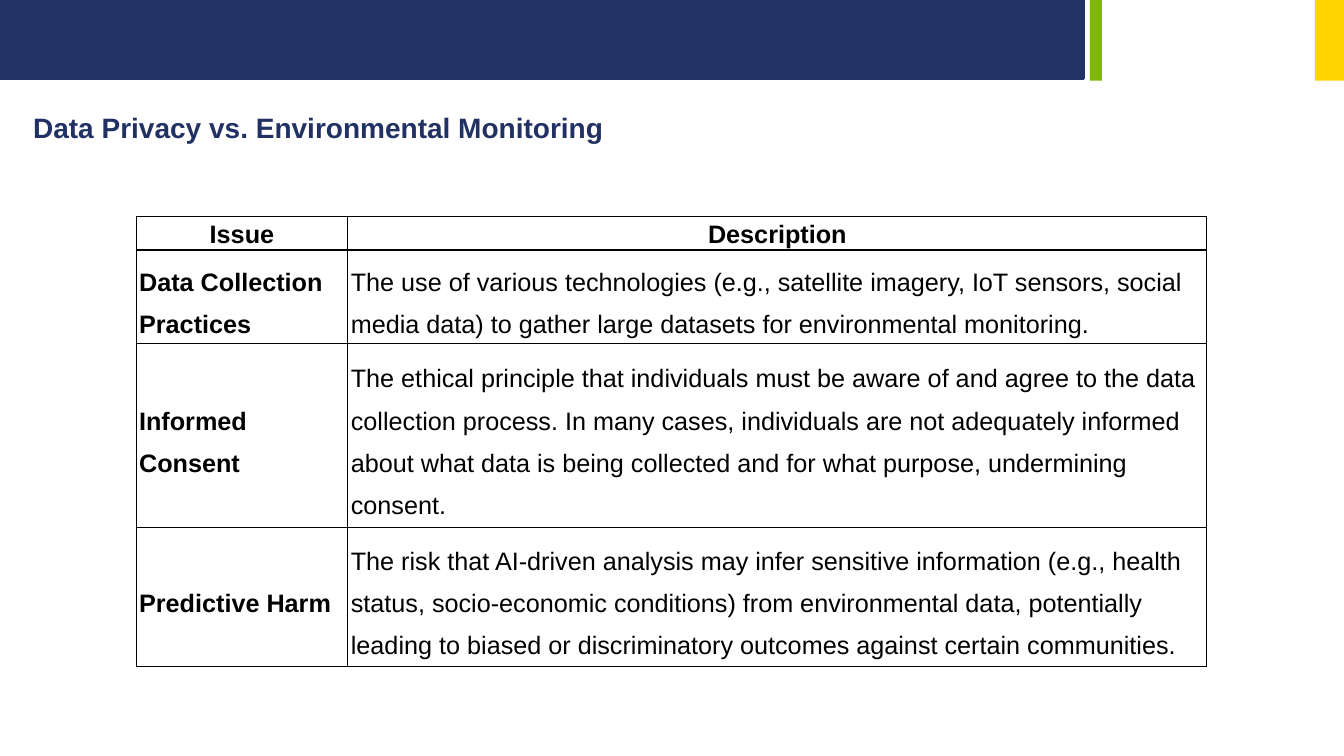
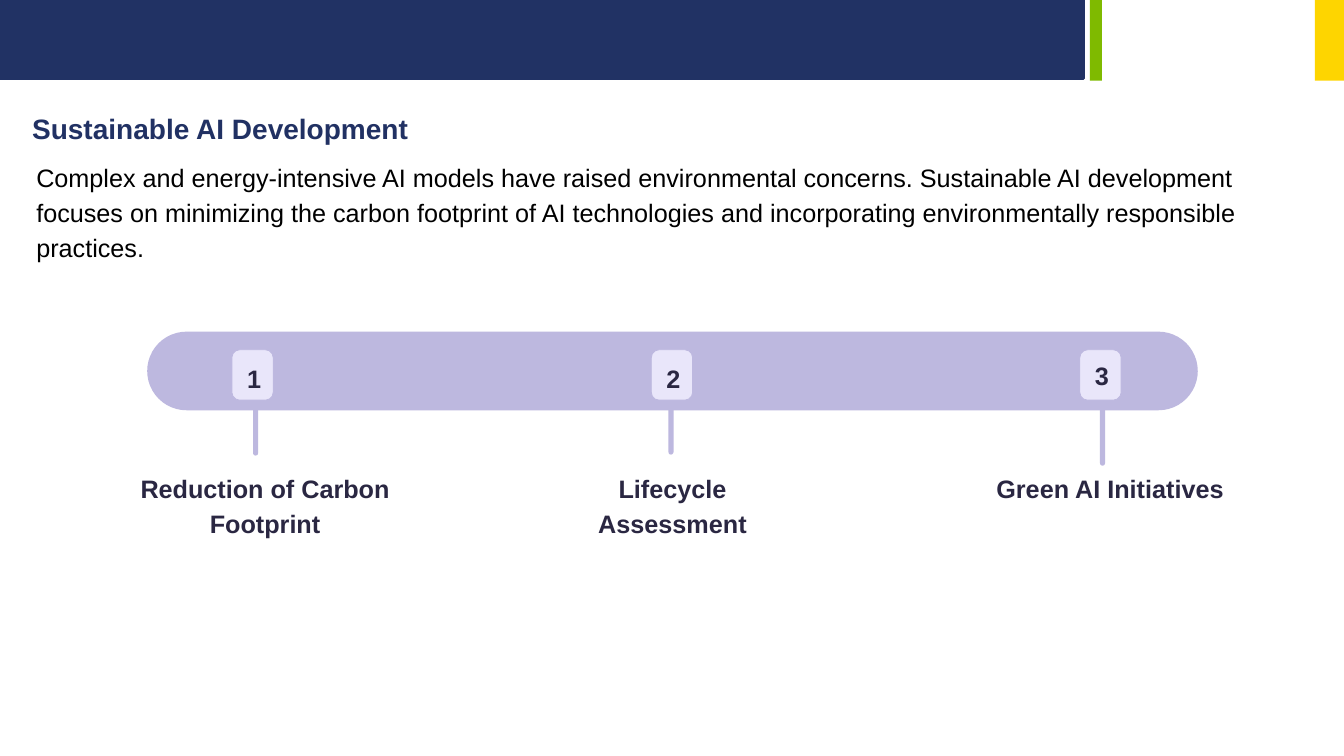
from lxml.etree import SubElement
from pptx import Presentation
from pptx.dml.color import RGBColor
from pptx.enum.shapes import MSO_SHAPE
from pptx.enum.text import MSO_ANCHOR, PP_ALIGN
from pptx.oxml.ns import qn
from pptx.util import Pt

PX = 9144  # EMU per px, 100 px to the inch
FONT = "Arial"
COLORS = {
    "navy": "213264", "title": "213163", "green": "7FBA00", "yellow": "FED500",
    "lilac": "BDB8DF", "badge": "E9E6FA", "ink": "2A2742", "black": "000000",
}

ISSUES = [
    ("Issue", "Description"),
    ("Data Collection Practices",
     "The use of various technologies (e.g., satellite imagery, IoT sensors, social "
     "media data) to gather large datasets for environmental monitoring."),
    ("Informed Consent",
     "The ethical principle that individuals must be aware of and agree to the data "
     "collection process. In many cases, individuals are not adequately informed about "
     "what data is being collected and for what purpose, undermining consent."),
    ("Predictive Harm",
     "The risk that AI-driven analysis may infer sensitive information (e.g., health "
     "status, socio-economic conditions) from environmental data, potentially leading to "
     "biased or discriminatory outcomes against certain communities."),
]
SUSTAINABLE = (
    "Complex and energy-intensive AI models have raised environmental concerns. "
    "Sustainable AI development focuses on minimizing the carbon footprint of AI "
    "technologies and incorporating environmentally responsible practices."
)
# label, label box (left, width), badge left, stalk (left, top), number box (left, top, width)
STEPS = [
    ("Reduction of Carbon Footprint", (100, 326), 230, (251, 375), (245, 358, 11)),
    ("Lifecycle Assessment", (552, 230), 646, (663, 374), (660, 358, 16)),
    ("Green AI Initiatives", (986, 230), 1071, (1091, 385), (1085, 355, 16)),
]


def rgb(name):
    return RGBColor.from_string(COLORS[name])


def px(*lengths):
    return [n * PX for n in lengths]


def style(p, size, color, bold=False, align=PP_ALIGN.LEFT, spacing=None):
    p.alignment = align
    p.line_spacing = spacing
    p.font.name = FONT
    p.font.size = Pt(size)
    p.font.bold = bold
    p.font.color.rgb = rgb(color)


def add_block(s, box, fill, line=None, width=0, radius=None):
    """Filled rectangle, rounded when a radius ratio is given."""
    kind = MSO_SHAPE.RECTANGLE if radius is None else MSO_SHAPE.ROUNDED_RECTANGLE
    sp = s.shapes.add_shape(kind, *px(*box))
    sp.shadow.inherit = False
    if radius is not None:
        sp.adjustments[0] = radius
    sp.fill.solid()
    sp.fill.fore_color.rgb = rgb(fill)
    if line:
        sp.line.color.rgb = rgb(line)
        sp.line.width = Pt(width)
    else:
        sp.line.fill.background()


def add_text(s, box, text, size, color, inset=True, wrap=True, **fmt):
    tf = s.shapes.add_textbox(*px(*box)).text_frame
    tf.word_wrap = wrap
    if not inset:
        tf.margin_left = tf.margin_top = tf.margin_right = tf.margin_bottom = 0
    p = tf.paragraphs[0]
    p.text = text
    style(p, size, color, **fmt)


def add_label(s, box, text, spacing):
    add_text(s, box, text, 18, "ink", inset=False, wrap=False, bold=True,
             align=PP_ALIGN.CENTER, spacing=Pt(spacing))


def add_borders(cell):
    tc_pr = cell._tc.get_or_add_tcPr()
    for side in ("a:lnL", "a:lnR", "a:lnT", "a:lnB"):
        ln = SubElement(tc_pr, qn(side), w=str(Pt(1)))
        fill = SubElement(ln, qn("a:solidFill"))
        SubElement(fill, qn("a:srgbClr"), val=COLORS["black"])


def add_table(s, left, top, cols, heights, rows):
    frame = s.shapes.add_table(len(rows), len(cols),
                               *px(left, top, sum(cols), sum(heights)))
    table = frame.table
    table.first_row = table.horz_banding = False
    for col, width in zip(table.columns, cols):
        col.width = width * PX
    for i, (row, height) in enumerate(zip(table.rows, heights)):
        row.height = height * PX
        header = i == 0
        for j, cell in enumerate(row.cells):
            add_borders(cell)
            cell.fill.background()
            cell.margin_left = cell.margin_right = 3 * PX
            cell.margin_top = cell.margin_bottom = PX
            cell.vertical_anchor = MSO_ANCHOR.BOTTOM if header else MSO_ANCHOR.MIDDLE
            p = cell.text_frame.paragraphs[0]
            p.text = rows[i][j]
            style(p, 18, "black", bold=header or j == 0,
                  align=PP_ALIGN.CENTER if header else PP_ALIGN.LEFT,
                  spacing=None if header else 1.5)


def add_slide(prs, title, left, top):
    """Blank slide with the header bands and a title."""
    s = prs.slides.add_slide(prs.slide_layouts[6])
    add_block(s, (0, 0, 1075, 78), "navy", line="navy", width=2)
    add_block(s, (1081, 0, 12, 80), "green")
    add_block(s, (1304, 0, 29, 80), "yellow")
    add_text(s, (left, top, 1044, 44), title, 20, "title", bold=True)
    return s


def add_step(s, number, label, label_box, badge_left, stalk, number_box):
    add_block(s, (*stalk, 5, 77), "lilac", radius=0.5)
    add_block(s, (badge_left, 347, 41, 50), "badge", line="lilac", width=0.6, radius=0.19)
    left, top, width = number_box
    add_label(s, (left, top, width, 33), str(number), 23.5)
    left, width = label_box
    add_label(s, (left, 466, width, 35), label, 24.5)


def main():
    prs = Presentation()
    prs.slide_width, prs.slide_height = px(1333, 750)

    # Privacy issues table
    s = add_slide(prs, "Data Privacy vs. Environmental Monitoring", 23, 105)
    add_table(s, 135, 215, (210, 852), (33, 93, 182, 138), ISSUES)

    # Numbered timeline
    s = add_slide(prs, "Sustainable AI Development", 22, 106)
    add_text(s, (36, 156, 1201, 71), SUSTAINABLE, 18, "black", inset=False, spacing=Pt(25))
    add_block(s, (146, 329, 1042, 78), "lilac", radius=0.5)
    for number, step in enumerate(STEPS, 1):
        add_step(s, number, *step)

    prs.save("out.pptx")


if __name__ == "__main__":
    main()
